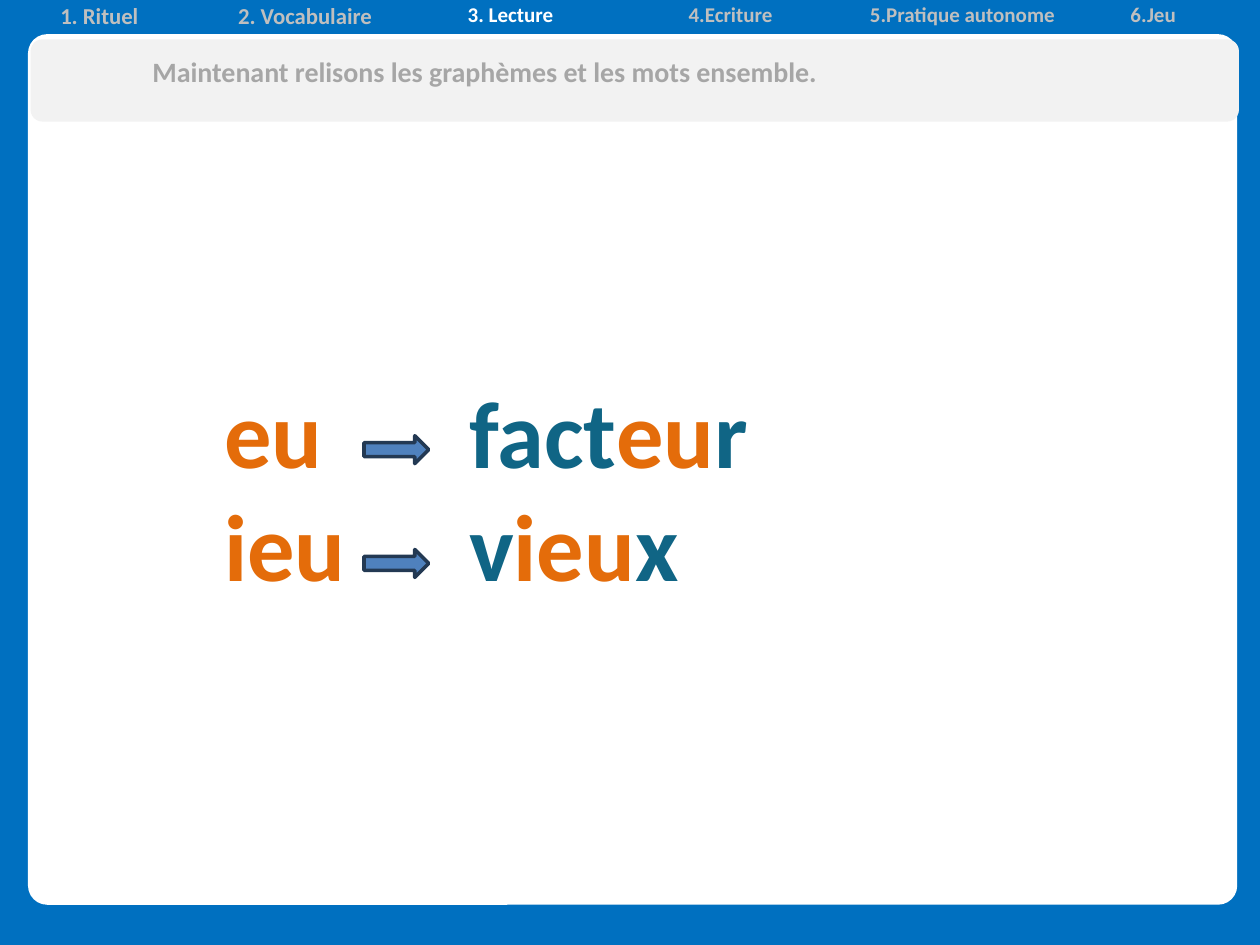
from lxml import etree
from pptx import Presentation
from pptx.dml.color import RGBColor
from pptx.enum.shapes import MSO_SHAPE
from pptx.enum.text import PP_ALIGN
from pptx.oxml.ns import qn
from pptx.util import Pt

RECTANGLE = MSO_SHAPE.RECTANGLE
ROUNDED = MSO_SHAPE.ROUNDED_RECTANGLE
RIGHT_ARROW = MSO_SHAPE.RIGHT_ARROW
CENTER = PP_ALIGN.CENTER

WHITE = RGBColor(0xFF, 0xFF, 0xFF)
FRAME_BLUE = RGBColor(0x00, 0x70, 0xC0)
BANNER_GREY = RGBColor(0xF2, 0xF2, 0xF2)
BANNER_TEXT = RGBColor(0xA6, 0xA6, 0xA6)
TAB_GREY = RGBColor(0xBF, 0xBF, 0xBF)
ORANGE = RGBColor(0xE4, 0x6C, 0x0A)
TEAL = RGBColor(0x10, 0x65, 0x85)
ARROW_BLUE = RGBColor(0x4F, 0x81, 0xBD)
ARROW_EDGE = RGBColor(0x23, 0x39, 0x53)

FONT = "Calibri"
PLAIN_TABLE_STYLE = "{2D5ABB26-0587-4C30-8999-92F81FD0307C}"

STEPS = [
    ("1. Rituel", 117.5, 13),
    ("2. Vocabulaire", 117.5, 13),
    ("3. Lecture", 117.5, 12),
    ("4.Ecriture", 134, 12),
    ("5.Pratique autonome", 131, 12),
    ("6.Jeu", 87, 12),
]
CURRENT_STEP = "3. Lecture"
WORDS = [
    ("eu", ("fact", "eu", "r")),
    ("ieu", ("v", "ieu", "x")),
]


def style_run(run, size, color):
    """Format a run in the bold lesson font."""
    run.font.name = FONT
    run.font.size = Pt(size)
    run.font.bold = True
    run.font.color.rgb = color


def add_panel(slide, kind, left, top, width, height, color, corner=None):
    """Add a filled shape without outline or shadow."""
    shape = slide.shapes.add_shape(kind, Pt(left), Pt(top), Pt(width), Pt(height))
    shape.shadow.inherit = False
    shape.fill.solid()
    shape.fill.fore_color.rgb = color
    shape.line.fill.background()
    if corner is not None:
        shape.adjustments[0] = corner
    return shape


def add_text_box(slide, left, top, width, height):
    """Add a wrapping text box and return its text frame."""
    box = slide.shapes.add_textbox(Pt(left), Pt(top), Pt(width), Pt(height))
    box.text_frame.word_wrap = True
    return box.text_frame


def add_frame(slide, left, top, width, height):
    """Fill the box with blue around a rounded white page."""
    add_panel(slide, RECTANGLE, left, top, width, height, FRAME_BLUE)
    add_panel(slide, ROUNDED, left + 16, top + 19.5, width - 29, height - 42.5,
              WHITE, 0.022)


def add_instruction(slide, left, top, width, height, text):
    """Add the grey banner with its instruction."""
    add_panel(slide, ROUNDED, left, top, width, height, BANNER_GREY, 0.144)
    frame = add_text_box(slide, left + 62.5, top + 5, width - 85, 27)
    frame.text = text
    style_run(frame.paragraphs[0].runs[0], 16, BANNER_TEXT)


def add_steps(slide, left, top, height):
    """Add the lesson steps, with the current one in white."""
    width = sum(step[1] for step in STEPS)
    table = slide.shapes.add_table(1, len(STEPS), Pt(left), Pt(top),
                                   Pt(width), Pt(height)).table
    table.first_row = False
    table.horz_banding = False
    table._tbl.tblPr.find(qn("a:tableStyleId")).text = PLAIN_TABLE_STYLE
    for index, (label, column_width, size) in enumerate(STEPS):
        table.columns[index].width = Pt(column_width)
        cell = table.cell(0, index)
        cell.fill.background()
        cell.text_frame.text = label
        paragraph = cell.text_frame.paragraphs[0]
        paragraph.alignment = CENTER
        color = WHITE if label == CURRENT_STEP else TAB_GREY
        style_run(paragraph.runs[0], size, color)


def add_tab_stop(paragraph, position):
    """Give the paragraph one left tab stop."""
    tabs = etree.SubElement(paragraph._p.get_or_add_pPr(), qn("a:tabLst"))
    etree.SubElement(tabs, qn("a:tab"), pos=str(Pt(position)), algn="l")


def add_arrow(slide, left, top, width, height):
    """Add an outlined arrow pointing right."""
    arrow = add_panel(slide, RIGHT_ARROW, left, top, width, height, ARROW_BLUE)
    arrow.line.color.rgb = ARROW_EDGE
    arrow.line.width = Pt(2)


def add_words(slide, left, top, width, height):
    """Add each grapheme, an arrow and the word that contains it."""
    frame = add_text_box(slide, left, top, width, height)
    for index, (grapheme, parts) in enumerate(WORDS):
        paragraph = frame.add_paragraph() if index else frame.paragraphs[0]
        add_tab_stop(paragraph, 140)
        for part in (grapheme + "\t", *parts):
            run = paragraph.add_run()
            run.text = part
            style_run(run, 54, ORANGE if part.strip() == grapheme else TEAL)
        add_arrow(slide, left + 87, top + 39 + 65 * index, 37, 16)


def main():
    """Build and save the lesson slide."""
    presentation = Presentation()
    presentation.slide_width = Pt(720)
    presentation.slide_height = Pt(540)
    slide = presentation.slides.add_slide(presentation.slide_layouts[6])
    add_frame(slide, 0, 0, 720, 540)
    add_instruction(slide, 17.5, 22.5, 690.5, 47,
                    "Maintenant relisons les graphèmes et les mots ensemble.")
    add_steps(slide, -2, -2, 23)
    add_words(slide, 121, 210, 549, 138)
    presentation.save("out.pptx")


if __name__ == "__main__":
    main()
